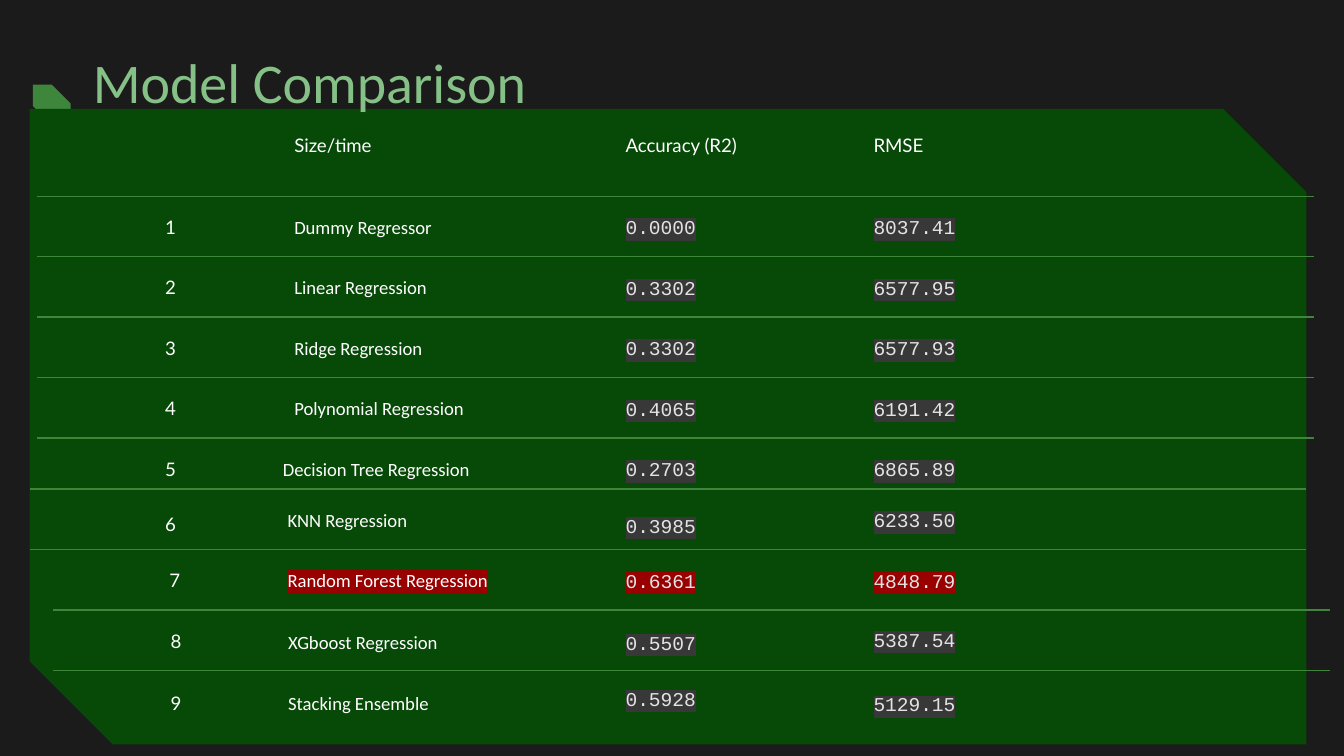
import pptx
import pptx.util
import pptx.dml.color
import pptx.enum.shapes
import pptx.enum.text
import pptx.oxml.ns
import lxml.etree

# Widescreen slide on a layout grid: 100 columns across, square cells
SLIDE_WIDTH = pptx.util.Inches(10)
SLIDE_HEIGHT = SLIDE_WIDTH * 9 // 16
CELL = SLIDE_WIDTH / 100
ROW_HEIGHT = 4.5
HEADER_HEIGHT = 3.2
RULE_WIDTH = 95
WIDE_MODEL = 16.4

BACKGROUND, PANEL, GREEN, TITLE = "1B1B1B", "074907", "3E863C", "85C086"
WHITE, SILVER, GREY, RED = "FFFFFF", "E3E3E3", "383838", "990000"

# Column starts and widths, measured from the panel's left edge
COLUMNS = {"rank": (2.3, 16.4), "model": (19.7, 15),
           "accuracy": (44.35, 15), "rmse": (62.8, 31.4)}
HEADINGS = {"model": "Size/time", "accuracy": "Accuracy (R2)", "rmse": "RMSE"}

# Each group: top of its first row, then the models in it
GROUPS = [
    (6.5, [("Dummy Regressor", "0.0000", "8037.41"),
           ("Linear Regression", "0.3302", "6577.95"),
           ("Ridge Regression", "0.3302", "6577.93"),
           ("Polynomial Regression", "0.4065", "6191.42"),
           ("Decision Tree Regression", "0.2703", "6865.89")]),
    (28.3, [("KNN Regression", "0.3985", "6233.50"),
            ("Random Forest Regression", "0.6361", "4848.79"),
            ("XGboost Regression", "0.5507", "5387.54"),
            ("Stacking Ensemble", "0.5928", "5129.15")]),
]
BEST_RANK = 7
RULE_SHIFTS = [0.55, 0.55, 0.55, 0.55, 0.55, 0, 0, 1.75, 1.75]
# Small offsets (right, down) of single cells from the grid
NUDGES = {
    (5, "model"): (-0.85, 0),
    (6, "rank"): (0, 0.3), (6, "model"): (-0.5, 0), (6, "accuracy"): (0, 0.4),
    (7, "rank"): (0.3, 0), (7, "model"): (-0.5, 0),
    (8, "rank"): (0.4, 0), (8, "model"): (-0.45, 0.1),
    (8, "accuracy"): (0, 0.1), (8, "rmse"): (0, -0.1),
    (9, "rank"): (0.4, 0.1), (9, "model"): (-0.45, 0.1),
    (9, "accuracy"): (0, -0.2), (9, "rmse"): (0, 0.2),
}


def grid(*cells):
    return [round(cell * CELL) for cell in cells]


def rgb(colour):
    return pptx.dml.color.RGBColor.from_string(colour)


def add_run(paragraph, text, size, font, colour):
    run = paragraph.add_run()
    run.text = text
    run.font.size = pptx.util.Pt(size)
    run.font.color.rgb = rgb(colour)
    run.font.name = font


def mark_text(cell, colour):
    qn = pptx.oxml.ns.qn
    for text_fill in list(cell.element.iter(qn("a:solidFill"))):
        highlight = lxml.etree.Element(qn("a:highlight"))
        lxml.etree.SubElement(highlight, qn("a:srgbClr"), val=colour)
        text_fill.addnext(highlight)


def add_snipped(slide, box, snip, colour):
    snipped = slide.shapes.add_shape(
        pptx.enum.shapes.MSO_SHAPE.SNIP_2_DIAG_RECTANGLE, *grid(*box))
    snipped.adjustments[0], snipped.adjustments[1] = 0, snip
    snipped.fill.solid()
    snipped.fill.fore_color.rgb = rgb(colour)
    snipped.line.fill.background()
    snipped.shadow.inherit = False


def add_rule(slide, left, top):
    rule = slide.shapes.add_connector(
        pptx.enum.shapes.MSO_CONNECTOR.STRAIGHT,
        *grid(left + RULE_WIDTH, top, left, top))
    rule.line.color.rgb = rgb(GREEN)
    rule.line.width = pptx.util.Pt(0.75)
    lxml.etree.SubElement(rule.element.spPr, pptx.oxml.ns.qn("a:effectLst"))


def add_cell(slide, box, text, centred=False, highlight=None, **style):
    cell = slide.shapes.add_textbox(*grid(*box))
    frame = cell.text_frame
    frame.word_wrap = True
    frame.vertical_anchor = pptx.enum.text.MSO_ANCHOR.MIDDLE
    frame.margin_left = frame.margin_right = 0
    frame.margin_top = frame.margin_bottom = 0
    paragraph = frame.paragraphs[0]
    paragraph.line_spacing = 1.15
    align = pptx.enum.text.PP_ALIGN
    paragraph.alignment = align.CENTER if centred else align.LEFT
    add_run(paragraph, text, **style)
    if highlight:
        mark_text(cell, highlight)


def fill_title(slide, box):
    title = slide.shapes.title
    title.left, title.top, title.width, title.height = grid(*box)
    frame = title.text_frame
    frame.word_wrap = True
    frame.auto_size = pptx.enum.text.MSO_AUTO_SIZE.SHAPE_TO_FIT_TEXT
    frame.vertical_anchor = pptx.enum.text.MSO_ANCHOR.TOP
    frame.margin_left = 0
    frame.margin_top = frame.margin_right = frame.margin_bottom = grid(1)[0]
    paragraph = frame.paragraphs[0]
    paragraph.alignment = pptx.enum.text.PP_ALIGN.LEFT
    paragraph.line_spacing = 0.9
    add_run(paragraph, "Model Comparison", 30, "Calibri", TITLE)
    # Bring the title in front of the panel
    title.element.getparent().append(title.element)


def add_model_row(slide, left, top, rank, model):
    add_rule(slide, left + RULE_SHIFTS[rank - 1], top)
    best = rank == BEST_RANK
    label = dict(size=10, colour=WHITE)
    score = dict(size=10.5, font="Courier New", colour=SILVER,
                 highlight=RED if best else GREY)
    styles = {"rank": dict(label, font="Lato", centred=True),
              "model": dict(label, font="Calibri", highlight=RED if best else None),
              "accuracy": score, "rmse": score}
    for (column, (start, width)), text in zip(COLUMNS.items(), (str(rank), *model)):
        right, down = NUDGES.get((rank, column), (0, 0))
        if (rank, column) == (5, "model"):
            width = WIDE_MODEL
        box = (left + start + right, top + down - 0.1, width, ROW_HEIGHT)
        add_cell(slide, box, text, **styles[column])


def add_comparison(slide, box):
    left, top = box[:2]
    add_snipped(slide, box, 0.131, PANEL)
    for column, heading in HEADINGS.items():
        start, width = COLUMNS[column]
        add_cell(slide, (left + start, top + 0.95, width, HEADER_HEIGHT), heading,
                 size=10, font="Lato", colour=WHITE)
    rank = 0
    for first_row, models in GROUPS:
        for index, model in enumerate(models):
            rank += 1
            add_model_row(slide, left, top + first_row + index * ROW_HEIGHT, rank, model)


def main():
    deck = pptx.Presentation()
    deck.slide_width, deck.slide_height = SLIDE_WIDTH, SLIDE_HEIGHT
    slide = deck.slides.add_slide(deck.slide_layouts.get_by_name("Title Only"))
    slide.background.fill.solid()
    slide.background.fill.fore_color.rgb = rgb(BACKGROUND)

    # Title marker, comparison panel, title
    add_snipped(slide, (2.45, 6.3, 2.8, 3), 0.5, GREEN)
    add_comparison(slide, (2.2, 8.1, 95, 47.3))
    fill_title(slide, (6.9, 3.1, 43.9, 6.6))
    deck.save("out.pptx")


if __name__ == "__main__":
    main()
